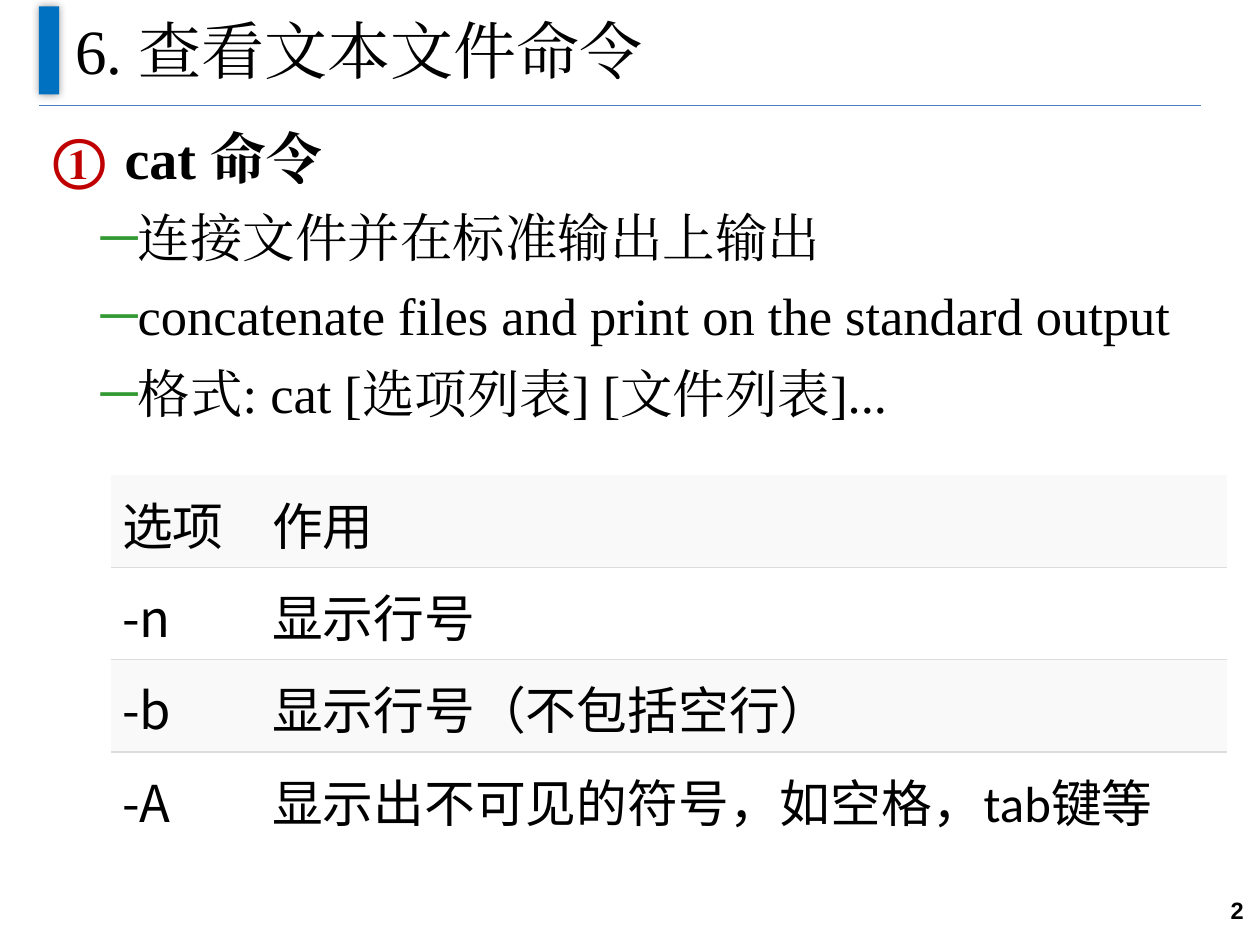
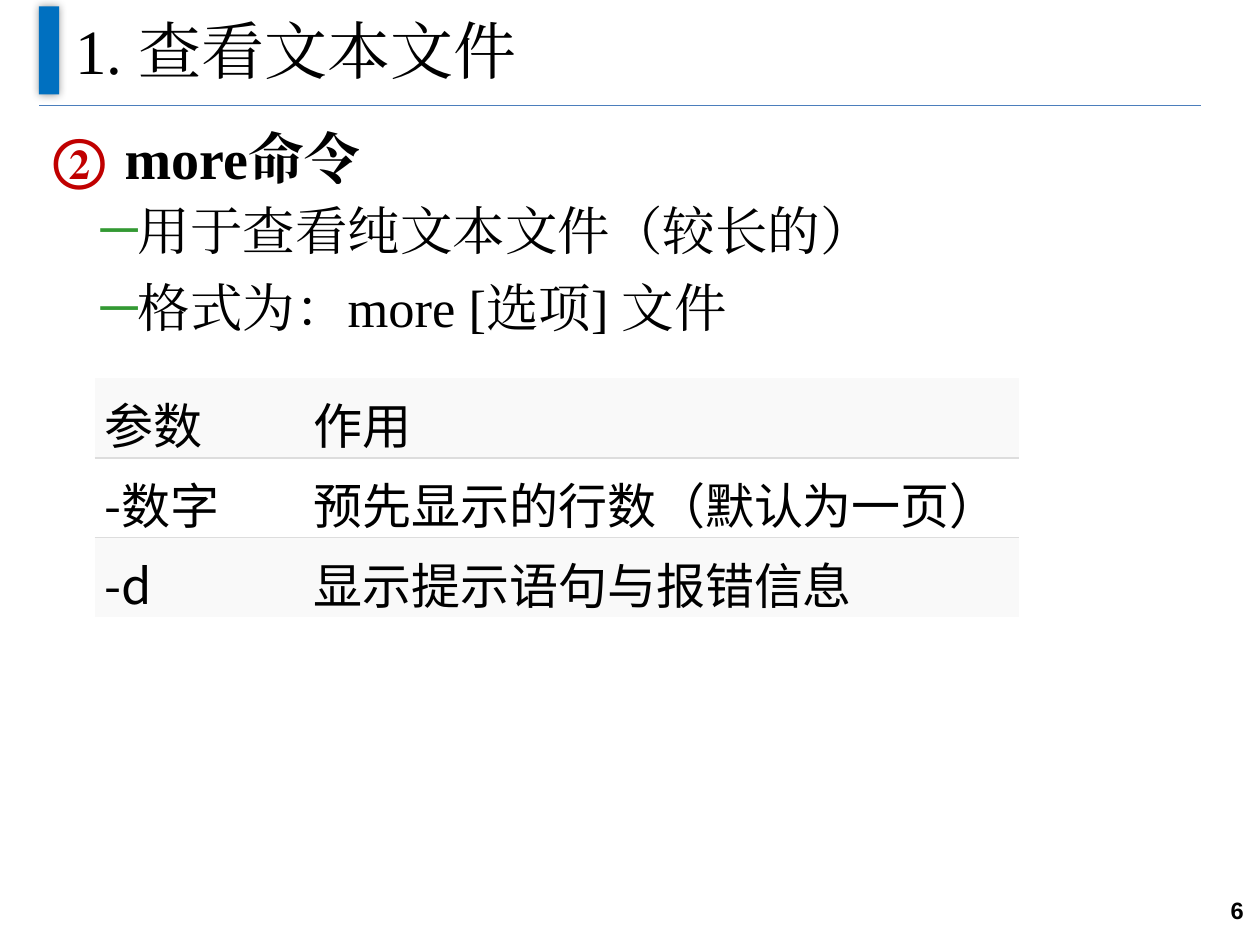
"""Build two slides on commands for viewing text files."""
import itertools

import pptx
import pptx.dml.color
import pptx.enum.shapes
import pptx.enum.text
import pptx.oxml.ns
import pptx.util
from lxml import etree

RGBColor = pptx.dml.color.RGBColor
BLACK = RGBColor(0x00, 0x00, 0x00)
WHITE = RGBColor(0xFF, 0xFF, 0xFF)
BAR_BLUE = RGBColor(0x00, 0x70, 0xC0)
RULE_BLUE = RGBColor(0x4B, 0x7E, 0xBC)
NUMBER_RED = RGBColor(0xC0, 0x00, 0x00)
DASH_GREEN = RGBColor(0x33, 0x99, 0x33)
BAND_GREY = RGBColor(0xF9, 0xF9, 0xF9)
BORDER_GREY = RGBColor(0xDD, 0xDD, 0xDD)
SERIF, SANS, CJK, ARIAL = "Times New Roman", "Calibri", "Noto Sans CJK SC", "Arial"
COLUMNS, ROWS = 100, 75
ALIGN = pptx.enum.text.PP_ALIGN
ANCHOR = pptx.enum.text.MSO_ANCHOR


def add_element(parent, tag, **attributes):
    element = etree.SubElement(parent, pptx.oxml.ns.qn(tag))
    for name, value in attributes.items():
        element.set(name, str(value))
    return element


class Deck:
    def __init__(self):
        self.presentation = pptx.Presentation()
        self.presentation.slide_width = pptx.util.Inches(10)
        self.presentation.slide_height = pptx.util.Inches(7.5)
        self.slide = None

    def place(self, left, top, width, height):
        column = self.presentation.slide_width / COLUMNS
        row = self.presentation.slide_height / ROWS
        return [round(n * unit) for n, unit in
                zip((left, top, width, height), (column, row, column, row))]

    def style(self, run, size, latin, east_asian, bold=False):
        run.font.size = pptx.util.Pt(size)
        run.font.name = latin
        run.font.bold = bold
        run.font.color.rgb = BLACK
        add_element(run.font._element, "a:ea", typeface=east_asian)

    def text_box(self, area, anchor=ANCHOR.TOP):
        frame = self.slide.shapes.add_textbox(*self.place(*area)).text_frame
        frame.word_wrap = True
        frame.vertical_anchor = anchor
        return frame

    def label(self, text, area, size, font, align=ALIGN.LEFT, bold=False):
        frame = self.text_box(area, ANCHOR.MIDDLE)
        frame.text = text
        frame.paragraphs[0].alignment = align
        self.style(frame.paragraphs[0].runs[0], size, font, font, bold)

    def header_rule(self):
        left, top, width, _ = self.place(3.1, 8.4, 92.2, 0)
        rule = self.slide.shapes.add_connector(
            pptx.enum.shapes.MSO_CONNECTOR.STRAIGHT, left, top, left + width, top)
        rule.line.color.rgb = RULE_BLUE
        rule.line.width = pptx.util.Pt(0.75)
        add_element(rule._element.spPr, "a:effectLst")

    def accent_bar(self):
        bar = self.slide.shapes.add_shape(
            pptx.enum.shapes.MSO_SHAPE.RECTANGLE, *self.place(3.1, 0.5, 1.6, 7))
        bar.fill.solid()
        bar.fill.fore_color.rgb = BAR_BLUE
        bar.line.fill.background()
        bar.shadow.inherit = False
        effects = bar._element.spPr.find(pptx.oxml.ns.qn("a:effectLst"))
        shadow = add_element(effects, "a:outerShdw", blurRad=pptx.util.Pt(5),
                             dist=0, dir=0, rotWithShape=0)
        color = add_element(shadow, "a:srgbClr", val=BLACK)
        add_element(color, "a:alpha", val=40000)

    def start_slide(self, title, number):
        self.slide = self.presentation.slides.add_slide(
            self.presentation.slide_layouts[6])
        self.header_rule()
        self.accent_bar()
        self.label(title, (5, -0.3, 90, 8.4), 36, SERIF)
        self.label(number, (90.4, 69.5, 9.3, 5.5), 13.5, ARIAL, ALIGN.RIGHT, True)

    def bullet(self, paragraph, margin, indent, color, tag, **attributes):
        properties = paragraph._p.get_or_add_pPr()
        properties.set("marL", str(pptx.util.Inches(margin)))
        properties.set("indent", str(pptx.util.Inches(indent)))
        add_element(add_element(properties, "a:buClr"), "a:srgbClr", val=color)
        add_element(properties, "a:buFont", typeface=SERIF)
        add_element(properties, tag, **attributes)

    def command(self, number, heading, details, space_after):
        frame = self.text_box((3.3, 9.7, 91.8, 62.8))
        frame.text = "\n".join([heading, *details])
        for index, paragraph in enumerate(frame.paragraphs):
            is_heading = index == 0
            if is_heading:
                self.bullet(paragraph, 0.56, -0.56, NUMBER_RED, "a:buAutoNum",
                            type="circleNumDbPlain", startAt=number)
            else:
                paragraph.level = 1
                self.bullet(paragraph, 0.66, -0.29, DASH_GREEN, "a:buChar", char="─")
            paragraph.alignment = ALIGN.JUSTIFY
            paragraph.line_spacing = pptx.util.Pt(35.5)
            paragraph.space_before = pptx.util.Pt(0 if is_heading else 4.5)
            paragraph.space_after = pptx.util.Pt(space_after if is_heading else 4.5)
            self.style(paragraph.runs[0], 32 if is_heading else 30, SERIF, SERIF, is_heading)

    def border(self, cell, visible_sides):
        properties = cell._tc.get_or_add_tcPr()
        for index, side in enumerate("LRTB"):
            line = add_element(properties, f"a:ln{side}", w=pptx.util.Pt(1))
            if side in visible_sides:
                add_element(add_element(line, "a:solidFill"), "a:srgbClr", val=BORDER_GREY)
            else:
                add_element(line, "a:noFill")
            properties.insert(index, line)

    def cell(self, cell, text, size, margin, is_option):
        cell.margin_left = cell.margin_right = pptx.util.Inches(margin)
        cell.margin_top = cell.margin_bottom = pptx.util.Inches(margin)
        paragraph = cell.text_frame.paragraphs[0]
        paragraph.alignment = ALIGN.JUSTIFY
        parts = itertools.groupby(text, str.isascii) if is_option else [(False, text)]
        for is_ascii, letters in parts:
            run = paragraph.add_run()
            run.text = "".join(letters)
            self.style(run, size, CJK if is_ascii else SANS, CJK)

    def options_table(self, area, widths, rows, size, margin):
        table = self.slide.shapes.add_table(
            len(rows), len(widths), *self.place(*area)).table
        table.first_row = table.horz_banding = False
        for column, width in zip(table.columns, widths):
            column.width = self.place(width, 0, 0, 0)[0]
        for row_index, texts in enumerate(rows):
            sides = ("T" if row_index else "") + ("B" if row_index < len(rows) - 1 else "")
            for column_index, text in enumerate(texts):
                cell = table.cell(row_index, column_index)
                self.cell(cell, text, size, margin, column_index == 0)
                cell.fill.solid()
                cell.fill.fore_color.rgb = WHITE if row_index % 2 else BAND_GREY
                self.border(cell, sides)


def main():
    deck = Deck()
    deck.start_slide("6. 查看文本文件命令", "2")
    deck.command(1, "cat 命令", [
        "连接文件并在标准输出上输出",
        "concatenate files and print on the standard output",
        "格式: cat [选项列表] [文件列表]...",
    ], 4.5)
    deck.options_table((8.8, 37.7, 88.6, 29.3), (11.9, 76.7), [
        ("选项", "作用"),
        ("-n", "显示行号"),
        ("-b", "显示行号（不包括空行）"),
        ("-A", "显示出不可见的符号，如空格，tab键等"),
    ], 29, 0.09)

    deck.start_slide("1. 查看文本文件", "6")
    deck.command(2, "more命令", [
        "用于查看纯文本文件（较长的）",
        "格式为：more [选项] 文件",
    ], 0)
    deck.options_table((7.5, 30, 73.3, 19), (16.6, 56.8), [
        ("参数", "作用"),
        ("-数字", "预先显示的行数（默认为一页）"),
        ("-d", "显示提示语句与报错信息"),
    ], 28, 0.08)
    deck.presentation.save("out.pptx")


if __name__ == "__main__":
    main()
